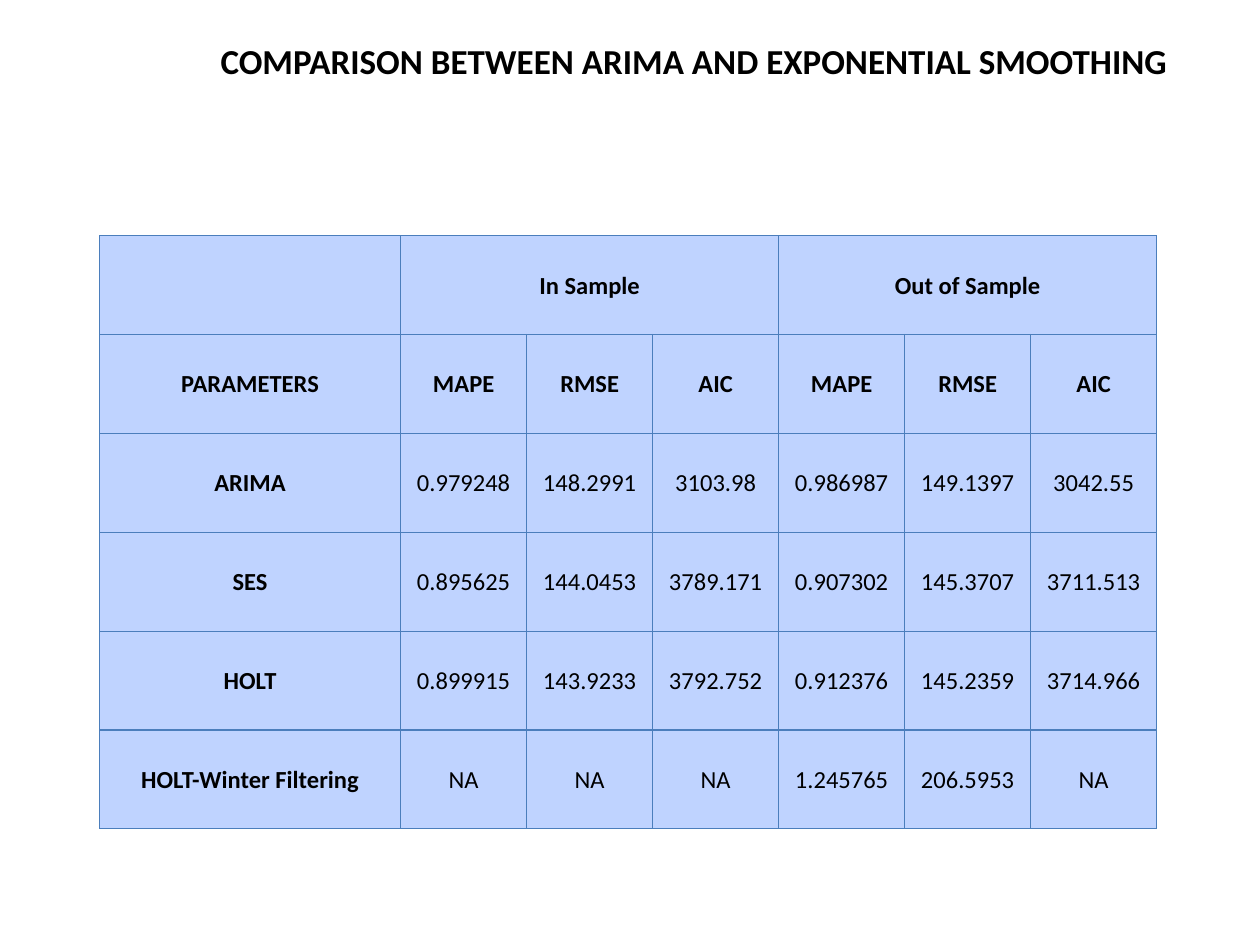
from lxml.etree import SubElement
from pptx import Presentation
from pptx.dml.color import RGBColor
from pptx.enum.text import MSO_ANCHOR, MSO_AUTO_SIZE, PP_ALIGN
from pptx.oxml.ns import qn
from pptx.util import Inches, Pt

TITLE = "COMPARISON BETWEEN ARIMA AND EXPONENTIAL SMOOTHING"
MEASURES = ["MAPE", "RMSE", "AIC"]
ROWS = [
    ["", "In Sample", "", "", "Out of Sample", "", ""],
    ["PARAMETERS"] + MEASURES * 2,
    ["ARIMA", "0.979248", "148.2991", "3103.98", "0.986987", "149.1397", "3042.55"],
    ["SES", "0.895625", "144.0453", "3789.171", "0.907302", "145.3707", "3711.513"],
    ["HOLT", "0.899915", "143.9233", "3792.752", "0.912376", "145.2359", "3714.966"],
    ["HOLT-Winter Filtering", "NA", "NA", "NA", "1.245765", "206.5953", "NA"],
]
HEADER_ROWS = 2
COLUMN_WIDTHS = [2.39] + [1] * 6
ROW_HEIGHT = 0.785
FILL, BORDER, INK = "BFD3FF", "4B7EBC", "000000"


def color(value):
    """Turn a hex string into a colour."""
    return RGBColor.from_string(value)


def set_font(para, size, bold):
    """Give a paragraph the slide's typeface and ink."""
    font = para.font
    font.name, font.size, font.bold = "Calibri", Pt(size), bold
    font.color.rgb = color(INK)


def add_title(page):
    """Place the heading in the title placeholder."""
    title = page.shapes.title
    title.left, title.top = Inches(1.65), Inches(0.26)
    title.width, title.height = Inches(7.81), Inches(0.44)
    frame = title.text_frame
    frame.text = TITLE
    frame.word_wrap = True
    frame.auto_size = MSO_AUTO_SIZE.SHAPE_TO_FIT_TEXT
    frame.vertical_anchor = MSO_ANCHOR.TOP
    para = frame.paragraphs[0]
    para.alignment = PP_ALIGN.LEFT
    set_font(para, 20, True)


def style_cell(cell, bold):
    """Format one cell's borders, fill, margins and text."""
    properties = cell._tc.get_or_add_tcPr()
    for side in ("a:lnL", "a:lnR", "a:lnT", "a:lnB"):
        line = SubElement(properties, qn(side), w=str(Pt(0.75)))
        solid = SubElement(line, qn("a:solidFill"))
        SubElement(solid, qn("a:srgbClr"), val=BORDER)
    cell.fill.solid()
    cell.fill.fore_color.rgb = color(FILL)
    cell.margin_left = cell.margin_right = cell.margin_top = Inches(0.01)
    cell.margin_bottom = 0
    cell.vertical_anchor = MSO_ANCHOR.MIDDLE
    para = cell.text_frame.paragraphs[0]
    para.alignment = PP_ALIGN.CENTER
    set_font(para, 14, bold)


def add_comparison(page):
    """Build the table of accuracy measures."""
    table = page.shapes.add_table(
        len(ROWS), len(COLUMN_WIDTHS), Inches(0.79), Inches(1.87),
        Inches(sum(COLUMN_WIDTHS)), Inches(ROW_HEIGHT * len(ROWS))).table
    table.first_row = table.horz_banding = False
    for column, width in zip(table.columns, COLUMN_WIDTHS):
        column.width = Inches(width)
    for row_index, values in enumerate(ROWS):
        table.rows[row_index].height = Inches(ROW_HEIGHT)
        for column_index, value in enumerate(values):
            cell = table.cell(row_index, column_index)
            cell.text = value
            style_cell(cell, row_index < HEADER_ROWS or column_index == 0)
    span = len(MEASURES)
    for start in (1, 1 + span):
        table.cell(0, start).merge(table.cell(0, start + span - 1))


def main():
    """Build and save the slide."""
    deck = Presentation()
    deck.slide_width, deck.slide_height = Inches(10), Inches(7.5)
    page = deck.slides.add_slide(deck.slide_layouts.get_by_name("Title Only"))
    add_title(page)
    add_comparison(page)
    deck.save("out.pptx")


if __name__ == "__main__":
    main()
